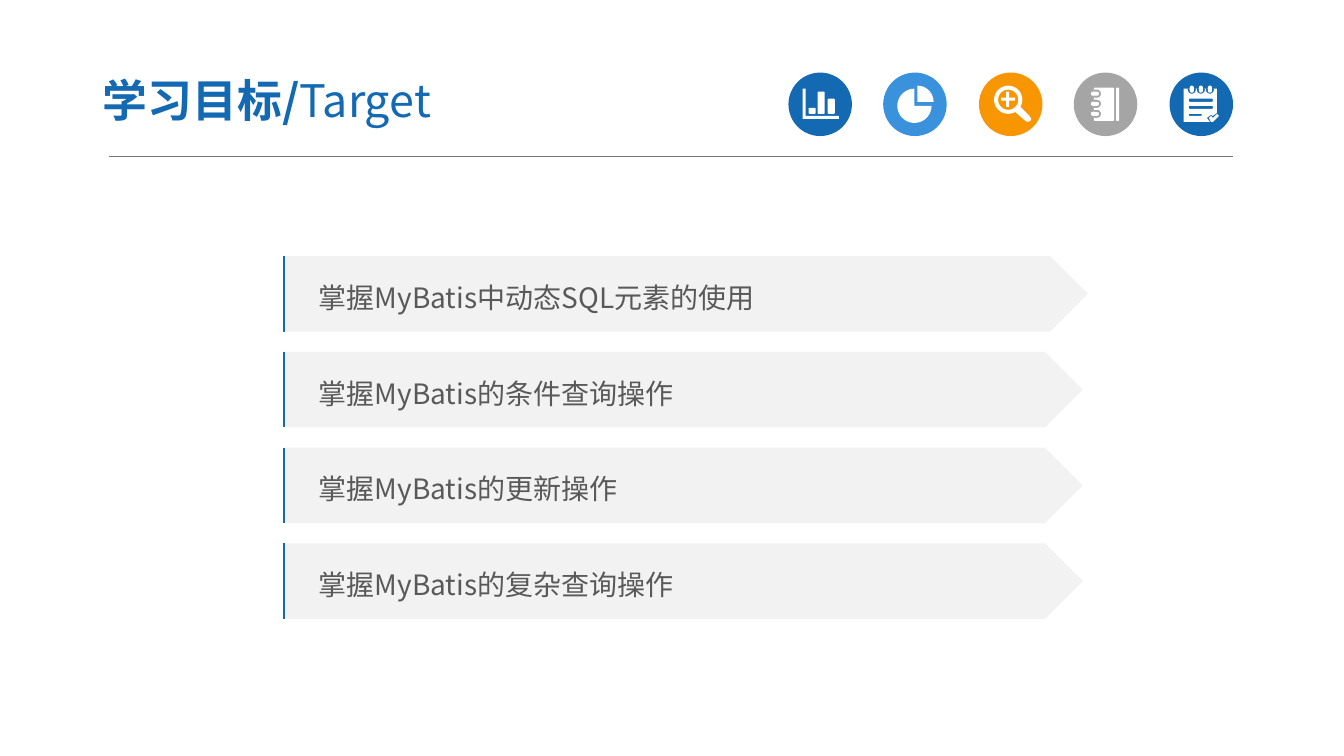
from math import cos, radians, sin

from pptx import Presentation
from pptx.dml.color import RGBColor
from pptx.enum.shapes import MSO_CONNECTOR as Connector, MSO_SHAPE as Preset
from pptx.enum.text import MSO_ANCHOR as Anchor, PP_ALIGN as Align
from pptx.oxml.ns import qn
from pptx.util import Pt
from lxml.etree import SubElement

PX = 9144  # 100 px to the inch
WIDTH, HEIGHT = 1333, 750
BLUE, SKY, ORANGE, SILVER = "1369B2", "3992DB", "F79600", "A5A5A5"
WHITE, PALE, TEXT_GREY, RULE_GREY = "FFFFFF", "F2F2F2", "595959", "767676"


def px(*lengths):
    return [round(length * PX) for length in lengths]


def colour(hex_string):
    return RGBColor.from_string(hex_string)


def arc(x, y, radius, start, end):
    """Points along an arc, in degrees clockwise from the right."""
    steps = max(6, abs(end - start) // 10)
    angles = [radians(start + (end - start) * i / steps) for i in range(steps + 1)]
    return [(x + radius * cos(a), y + radius * sin(a)) for a in angles]


def box(left, top, width, height, radius=1):
    """Outline of a rectangle with rounded corners."""
    x1, y1 = left + radius, top + radius
    x2, y2 = left + width - radius, top + height - radius
    corners = [(x1, y1, 180), (x2, y1, 270), (x2, y2, 0), (x1, y2, 90)]
    return [point for x, y, start in corners
            for point in arc(x, y, radius, start, start + 90)]


# Each icon is a list of outlines measured from its badge's top left corner;
# an outline inside another one cuts a hole.
def bar_chart_icon():
    axes = [(14, 16), (17, 16), (17, 43), (50, 43), (50, 46), (14, 46)]
    bars = [(20, 35), (29, 19), (39, 26)]
    return [axes] + [box(left, top, 7, 41 - top) for left, top in bars]


def pie_icon():
    return [arc(31, 33, 17, 0, 270) + [(31, 33)],
            arc(34, 29, 16, -90, 0) + [(34, 29)]]


def magnifier_icon():
    handle = [(50, 43), (52, 46), (51, 48), (48, 49), (46, 48)]
    plus = [(27, 19), (30, 19), (30, 25), (36, 25), (36, 28), (30, 28),
            (30, 34), (27, 34), (27, 28), (22, 28), (22, 25), (27, 25)]
    return [arc(29, 27, 14, 60, 390) + handle, arc(29, 27, 10, 0, 360), plus]


def notebook_icon():
    outlines = [box(20, 15, 20, 33), box(42, 15, 3, 33)]
    for y in (21, 31, 41):
        notch = [(20, y - 4)] + arc(23, y, 4, -90, 90) + [(20, y + 4)]
        outlines += [notch, box(17, y - 2, 8, 4, 2)]
    return outlines


def checklist_icon():
    page = [(14, 16), (47, 16), (47, 40), (43, 43), (41, 42), (37, 45),
            (40, 49), (14, 49)]
    check = [(39, 45), (41, 43), (43, 45), (47, 41), (49, 43), (43, 49), (41, 49)]
    outlines = [page, check]
    for x in (22, 31, 40):
        notch = [(x + 4, 16)] + arc(x, 17, 4, 0, 180) + [(x - 4, 16)]
        outlines += [notch, box(x - 2, 13, 4, 7, 2)]
    lines = [(26, 24, 3), (33, 24, 3), (41, 13, 2)]
    return outlines + [box(19, top, width, height) for top, width, height in lines]


class SlideBuilder:
    font = "Noto Sans CJK SC"

    def __init__(self, slide):
        self.shapes = slide.shapes

    def paint(self, shape, fill):
        shape.shadow.inherit = False
        shape.fill.solid()
        shape.fill.fore_color.rgb = colour(fill)
        shape.line.fill.background()
        return shape

    def shape(self, preset, left, top, width, height, fill):
        shape = self.shapes.add_shape(preset, *px(left, top, width, height))
        return self.paint(shape, fill)

    def text_box(self, left, top, width, height):
        return self.shapes.add_textbox(*px(left, top, width, height))

    def outlines(self, left, top, outlines, fill):
        """One freeform made of several closed outlines."""
        builder = None
        for outline in outlines:
            points = [px(left + x, top + y) for x, y in outline]
            if builder is None:
                builder = self.shapes.build_freeform(*points[0], scale=1.0)
            else:
                builder.move_to(*points[0])
            builder.add_line_segments(points[1:], close=True)
        return self.paint(builder.convert_to_shape(), fill)

    def line(self, x1, y1, x2, y2, color, weight):
        connector = self.shapes.add_connector(Connector.STRAIGHT, *px(x1, y1, x2, y2))
        connector.line.color.rgb = colour(color)
        connector.line.width = Pt(weight)
        SubElement(connector._element.spPr, qn("a:effectLst"))

    def set_text(self, shape, *runs, size, color, insets, spacing=1.0):
        """Fill a shape with one left-aligned paragraph of (text, bold) runs."""
        frame = shape.text_frame
        frame.word_wrap = True
        frame.vertical_anchor = Anchor.MIDDLE
        frame.margin_left, frame.margin_top, frame.margin_right, frame.margin_bottom = px(*insets)
        paragraph = frame.paragraphs[0]
        paragraph.alignment = Align.LEFT
        paragraph.line_spacing = spacing
        for text, bold in runs:
            run = paragraph.add_run()
            run.text = text
            run.font.size = Pt(size)
            run.font.bold = bold
            run.font.name = self.font
            run.font.color.rgb = colour(color)
            SubElement(run.font._element, qn("a:ea"), typeface=self.font)

    def badge(self, left, top, fill, icon):
        self.shape(Preset.OVAL, left, top, 63, 63, fill)
        self.outlines(left, top, icon, WHITE)

    def goal(self, top, width, text):
        banner = self.shape(Preset.PENTAGON, 281, top, width, 75, PALE)
        self.set_text(banner, (text, False), size=20, color=TEXT_GREY,
                      insets=(35, 5, 10, 5), spacing=1.2)
        self.line(282, top + 75, 282, top, BLUE, 1.5)


def main():
    presentation = Presentation()
    presentation.slide_width, presentation.slide_height = px(WIDTH, HEIGHT)
    builder = SlideBuilder(presentation.slides.add_slide(presentation.slide_layouts[6]))

    builder.line(108, 155, 1223, 155, RULE_GREY, 0.5)
    badges = [(BLUE, bar_chart_icon()), (SKY, pie_icon()), (ORANGE, magnifier_icon()),
              (SILVER, notebook_icon()), (BLUE, checklist_icon())]
    for index, (fill, icon) in enumerate(badges):
        builder.badge(782 + index * 189 // 2, 72, fill, icon)

    title = builder.text_box(89, 63, 522, 72)
    builder.set_text(title, ("学习目标/", True), ("Target", False),
                     size=32, color=BLUE, insets=(13, 7, 13, 7))

    goals = [(798, "掌握MyBatis中动态SQL元素的使用"), (793, "掌握MyBatis的条件查询操作"),
             (793, "掌握MyBatis的更新操作"), (793, "掌握MyBatis的复杂查询操作")]
    for index, (width, text) in enumerate(goals):
        builder.goal(254 + index * 95, width, text)

    presentation.save("out.pptx")


if __name__ == "__main__":
    main()
